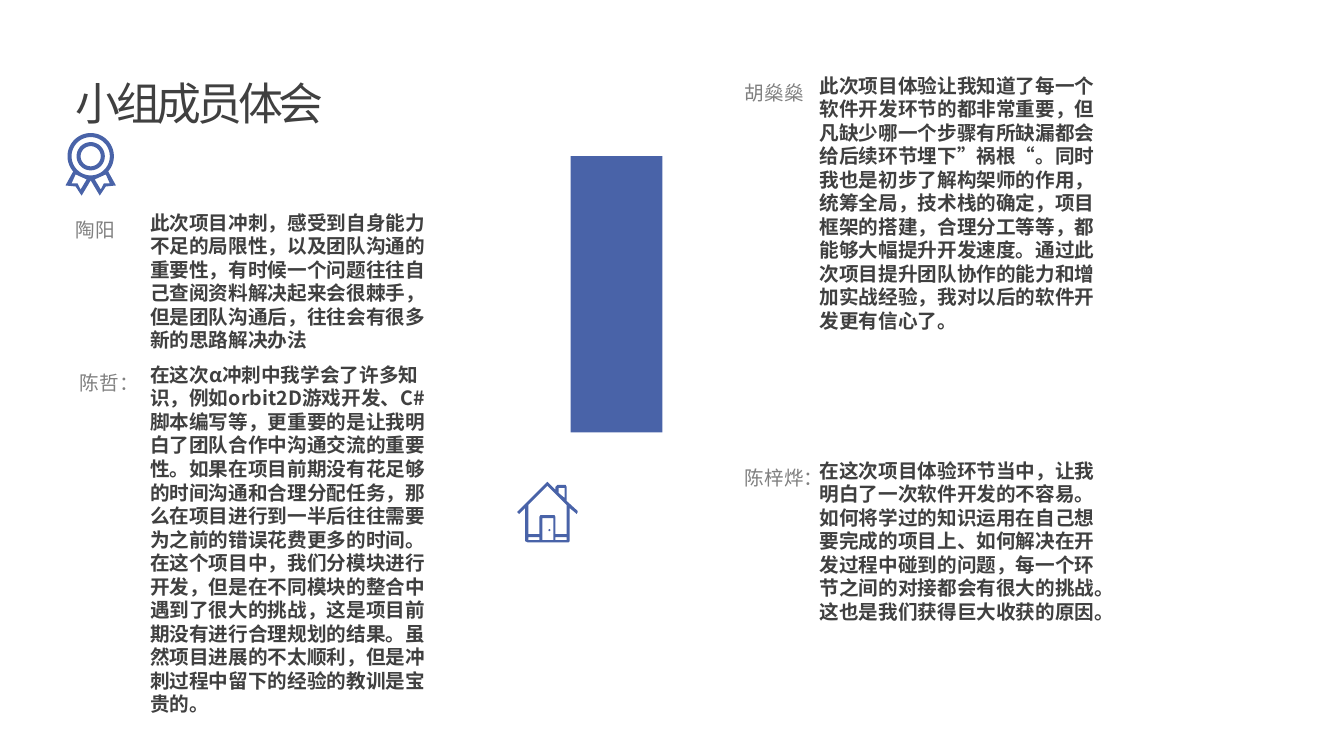
import math
import pptx
import pptx.dml.color
import pptx.enum.shapes
import pptx.enum.text
import pptx.oxml.ns
import pptx.util
from pptx.util import Inches

FONT = "Noto Sans CJK SC"
BLUE, DARK, GREY = "4963A8", "404040", "808080"


def colour(hex_code):
    return pptx.dml.color.RGBColor.from_string(hex_code)


def paint(shape):
    shape.shadow.inherit = False
    shape.fill.solid()
    shape.fill.fore_color.rgb = colour(BLUE)
    shape.line.fill.background()


def write(shape, text, size, hex_code, leading, bold=False, spacing=None):
    """Fill a text shape with one left-aligned paragraph."""
    frame = shape.text_frame
    frame.word_wrap = True
    frame.auto_size = pptx.enum.text.MSO_AUTO_SIZE.SHAPE_TO_FIT_TEXT
    frame.vertical_anchor = pptx.enum.text.MSO_ANCHOR.TOP
    paragraph = frame.paragraphs[0]
    paragraph.alignment = pptx.enum.text.PP_ALIGN.LEFT
    paragraph.line_spacing = pptx.util.Pt(leading)
    run = paragraph.add_run()
    run.text = text
    run.font.size = pptx.util.Pt(size)
    run.font.bold = bold
    run.font.name = FONT
    run.font.color.rgb = colour(hex_code)
    properties = run.font._element
    east_asian = properties.makeelement(pptx.oxml.ns.qn("a:ea"), {"typeface": FONT})
    properties.find(pptx.oxml.ns.qn("a:latin")).addnext(east_asian)
    if spacing is not None:
        properties.set("spc", str(spacing * 100))


def add_title(slide, left, top, width, height):
    title = slide.shapes.title
    title.left, title.top = Inches(left), Inches(top)
    title.width, title.height = Inches(width), Inches(height)
    write(title, "小组成员体会", 32, DARK, 40, spacing=-3)


def add_member(slide, left, top, height, name, reflection):
    """Name on the left, reflection indented beside it."""
    member = slide.shapes.add_group_shape()
    body = member.shapes.add_textbox(
        Inches(left + 0.74), Inches(top), Inches(2.99), Inches(height))
    write(body, reflection, 14, DARK, 16.8, bold=True)
    label = member.shapes.add_textbox(
        Inches(left), Inches(top), Inches(4.66), Inches(0.41))
    write(label, name, 14, GREY, 22.3)


def add_icon(slide, left, top, contours):
    """Draw closed contours, in inches from the icon's corner, as one shape."""
    placed = [[(Inches(left + x), Inches(top + y)) for x, y in contour]
              for contour in contours]
    builder = slide.shapes.build_freeform(*placed[0][0])
    for number, contour in enumerate(placed):
        if number:
            builder.move_to(*contour[0])
        builder.add_line_segments(contour[1:], close=True)
    paint(builder.convert_to_shape())


def arc(x, y, radius, start=0, end=360, steps=60):
    angles = [math.radians(start + (end - start) * i / steps) for i in range(steps + 1)]
    return [(x + radius * math.cos(a), y + radius * math.sin(a)) for a in angles]


def box(left, top, right, bottom):
    return [(left, top), (right, top), (right, bottom), (left, bottom)]


def mirror(points, width):
    return [(width - x, y) for x, y in points]


def add_medal(slide, left, top):
    width, centre = 0.5, (0.25, 0.23)
    tail = [(0, 0.52), (0.1, 0.53), (0.16, 0.62), (0.25, 0.47)]
    tail_hole = [(0.15, 0.56), (0.12, 0.5), (0.06, 0.5), (0.1, 0.41), (0.21, 0.46)]
    outline = arc(*centre, 0.23, 41, -221) + tail + mirror(tail[-2::-1], width)
    rings = [arc(*centre, radius) for radius in (0.19, 0.14, 0.1)]
    add_icon(slide, left, top, [outline, *rings, tail_hole, mirror(tail_hole, width)])


def add_house(slide, left, top):
    outline = [
        (0.6, 0.29), (0.49, 0.19), (0.49, 0.05), (0.48, 0.03), (0.4, 0.03),
        (0.38, 0.05), (0.38, 0.08), (0.31, 0.01), (0.3, 0), (0.29, 0.01),
        (0.01, 0.29), (0, 0.3), (0.02, 0.32), (0.03, 0.31), (0.08, 0.26),
        (0.08, 0.59), (0.1, 0.6), (0.51, 0.6), (0.52, 0.59), (0.52, 0.26),
        (0.58, 0.31), (0.59, 0.32), (0.6, 0.3)]
    wall = [
        (0.49, 0.52), (0.38, 0.52), (0.38, 0.35), (0.37, 0.33), (0.23, 0.33),
        (0.22, 0.35), (0.22, 0.52), (0.11, 0.52), (0.11, 0.23), (0.3, 0.04),
        (0.49, 0.23)]
    chimney = [(0.41, 0.06), (0.47, 0.06), (0.47, 0.16), (0.41, 0.11)]
    door, knob = box(0.25, 0.36, 0.36, 0.58), arc(0.32, 0.48, 0.01, steps=12)
    plinths = [box(x, 0.55, x + 0.11, 0.58) for x in (0.11, 0.38)]
    add_icon(slide, left, top, [outline, wall, chimney, door, knob, *plinths])


def add_block(slide, left, top, width, height):
    paint(slide.shapes.add_shape(
        pptx.enum.shapes.MSO_SHAPE.RECTANGLE,
        Inches(left), Inches(top), Inches(width), Inches(height)))


MEMBERS = [
    (0.65, 2.04, 1.51, "陶阳",
     "此次项目冲刺，感受到自身能力不足的局限性，以及团队沟通的重要性，有时候一个问题"
     "往往自己查阅资料解决起来会很棘手，但是团队沟通后，往往会有很多新的思路解决办法"),
    (0.65, 3.55, 3.63, " 陈哲：",
     "在这次α冲刺中我学会了许多知识，例如orbit2D游戏开发、C#脚本编写等，更重要的是"
     "让我明白了团队合作中沟通交流的重要性。如果在项目前期没有花足够的时间沟通和合理分配"
     "任务，那么在项目进行到一半后往往需要为之前的错误花费更多的时间。在这个项目中，我们"
     "分模块进行开发，但是在不同模块的整合中遇到了很大的挑战，这是项目前期没有进行合理规划"
     "的结果。虽然项目进展的不太顺利，但是冲刺过程中留下的经验的教训是宝贵的。"),
    (7.29, 0.68, 2.69, "胡燊燊",
     "此次项目体验让我知道了每一个软件开发环节的都非常重要，但凡缺少哪一个步骤有所缺漏"
     "都会给后续环节埋下”祸根“。同时我也是初步了解构架师的作用，统筹全局，技术栈的确定，"
     "项目框架的搭建，合理分工等等，都能够大幅提升开发速度。通过此次项目提升团队协作的能力"
     "和增加实战经验，我对以后的软件开发更有信心了。"),
    (7.29, 4.5, 1.75, "陈梓烨：",
     "在这次项目体验环节当中，让我明白了一次软件开发的不容易。如何将学过的知识运用在自己"
     "想要完成的项目上、如何解决在开发过程中碰到的问题，每一个环节之间的对接都会有很大的"
     "挑战。这也是我们获得巨大收获的原因。"),
]


def main():
    deck = pptx.Presentation()
    deck.slide_width, deck.slide_height = Inches(13.33), Inches(7.5)
    slide = deck.slides.add_slide(deck.slide_layouts[5])
    # Title and decoration
    add_block(slide, 5.66, 1.55, 0.91, 2.74)
    add_title(slide, 0.65, 0.68, 4.49, 0.64)
    add_medal(slide, 0.65, 1.32)
    # Team reflections
    for member in MEMBERS:
        add_member(slide, *member)
    add_house(slide, 5.13, 4.78)
    deck.save("out.pptx")


if __name__ == "__main__":
    main()
